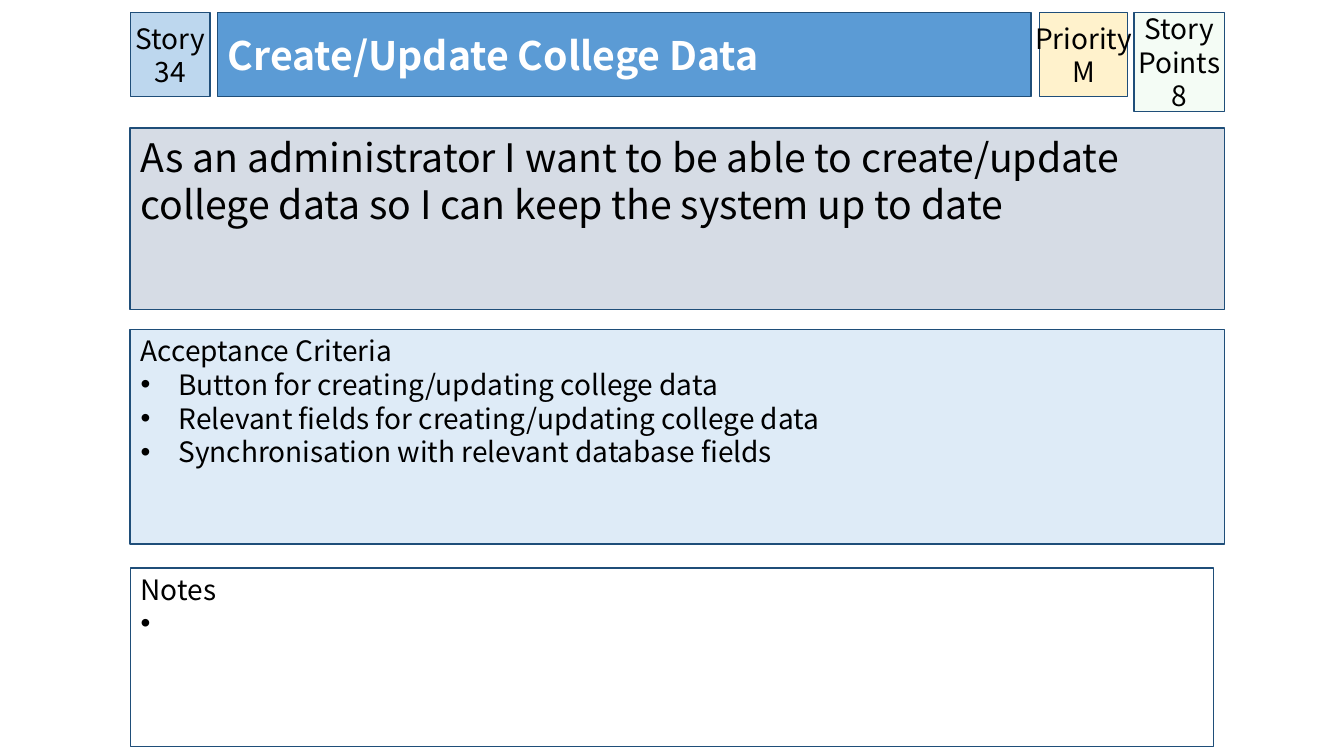
from lxml.etree import SubElement
from pptx import Presentation
from pptx.dml.color import RGBColor
from pptx.enum.shapes import MSO_SHAPE as Shape
from pptx.enum.text import MSO_ANCHOR as Anchor, PP_ALIGN as Align
from pptx.oxml.ns import qn
from pptx.util import Pt

PX = 9525
FONT = "Noto Sans CJK KR"
BLACK = RGBColor(0, 0, 0)
WHITE = RGBColor(255, 255, 255)
NAVY = RGBColor(0x1F, 0x4E, 0x79)
BLUE = RGBColor(0x5B, 0x9B, 0xD5)
SKY = RGBColor(0xBD, 0xD7, 0xEE)
PALE = RGBColor(0xDE, 0xEB, 0xF7)
GREY = RGBColor(0xD6, 0xDC, 0xE5)
CREAM = RGBColor(0xFF, 0xF2, 0xCC)
MINT = RGBColor(0xCC, 0xF0, 0xCD)

LEFT, TOP, HEAD = 124, 12, 80
WIDE = 1042

deck = Presentation()
deck.slide_width, deck.slide_height = 1280 * PX, 720 * PX
slide = deck.slides.add_slide(deck.slide_layouts[6])


def card(lines, box, fill, size=20, color=BLACK, bold=False, align=Align.LEFT,
         anchor=Anchor.TOP, side=10, top=5, wrap=True, indent=0):
    """Draw a bordered box; with an indent, all lines after the first get bullets."""
    shape = slide.shapes.add_shape(Shape.RECTANGLE, *(n * PX for n in box))
    shape.shadow.inherit = False
    shape.fill.solid()
    shape.fill.fore_color.rgb = fill
    shape.line.color.rgb = NAVY
    shape.line.width = Pt(1)
    frame = shape.text_frame
    frame.word_wrap = wrap
    frame.vertical_anchor = anchor
    frame.margin_left = frame.margin_right = side * PX
    frame.margin_top, frame.margin_bottom = top * PX, 5 * PX
    for i, line in enumerate(lines):
        para = frame.add_paragraph() if i else frame.paragraphs[0]
        para.alignment = align
        if i and indent:
            props = para._p.get_or_add_pPr()
            props.set("marL", str(indent * PX))
            props.set("indent", str(-indent * PX))
            SubElement(props, qn("a:buFont"), typeface="Arial")
            SubElement(props, qn("a:buChar"), char="•")
        run = para.add_run()
        run.text = line
        font = run.font
        font.name, font.size, font.bold = FONT, Pt(size), bold
        font.color.rgb = color
    return shape


badge = dict(align=Align.CENTER, anchor=Anchor.MIDDLE, side=0)
card(["Story 34"], (LEFT, TOP, 76, HEAD), SKY, **badge)
card(["Create/Update College Data"], (207, TOP, 775, HEAD), BLUE,
     size=28, color=WHITE, bold=True, anchor=Anchor.MIDDLE)
card(["As an administrator I want to be able to create/update college data "
      "so I can keep the system up to date"], (LEFT, 122, WIDE, 173), GREY, size=28)
card(["Acceptance Criteria",
      "Button for creating/updating college data",
      "Relevant fields for creating/updating college data",
      "Synchronisation with relevant database fields"],
     (LEFT, 314, WIDE, 204), PALE, top=4, indent=36)
points = card(["Story Points", "8"], (1080, TOP, 86, 94), MINT, **badge)
tint = points.fill._xPr.find(".//" + qn("a:srgbClr"))
SubElement(tint, qn("a:alpha"), val="20000")
card(["Priority", "M"], (990, TOP, 84, HEAD), CREAM, wrap=False, **badge)
card(["Notes", " "], (LEFT, 541, 1032, 170), WHITE, top=4, indent=19)

deck.save("out.pptx")
